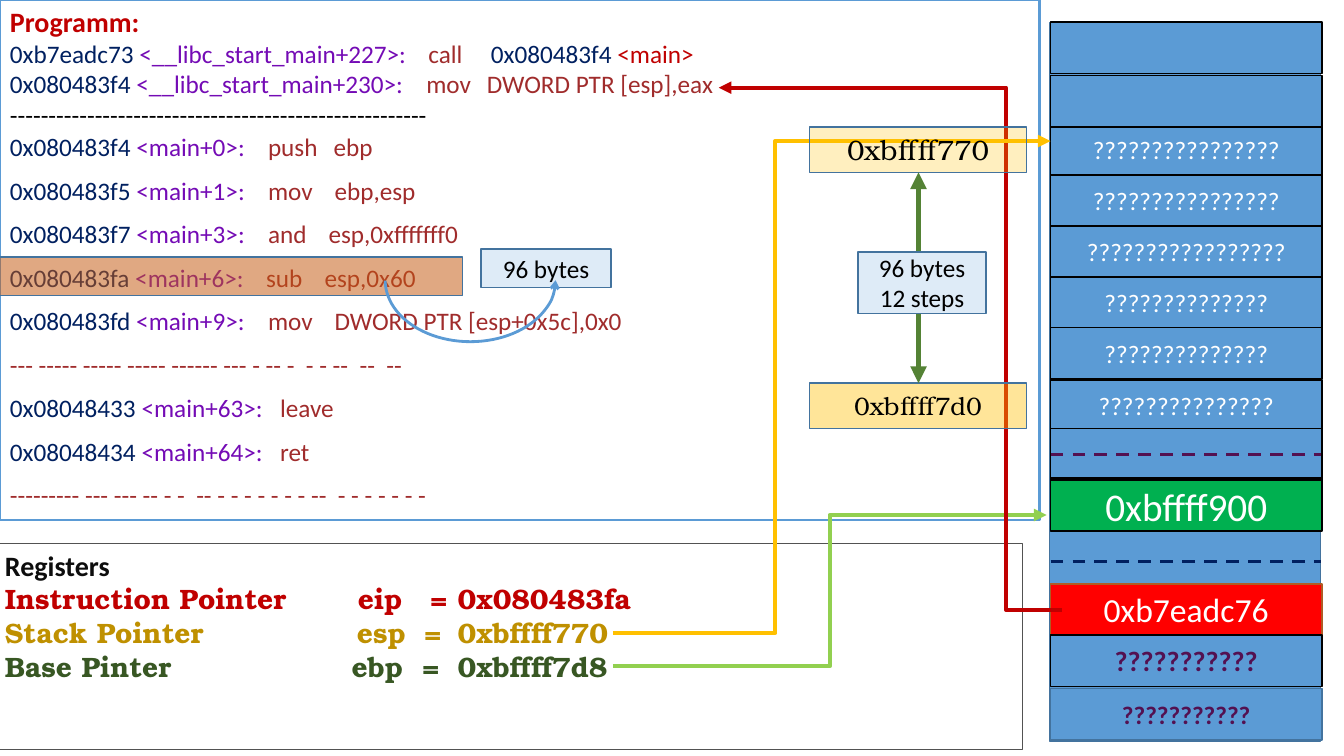
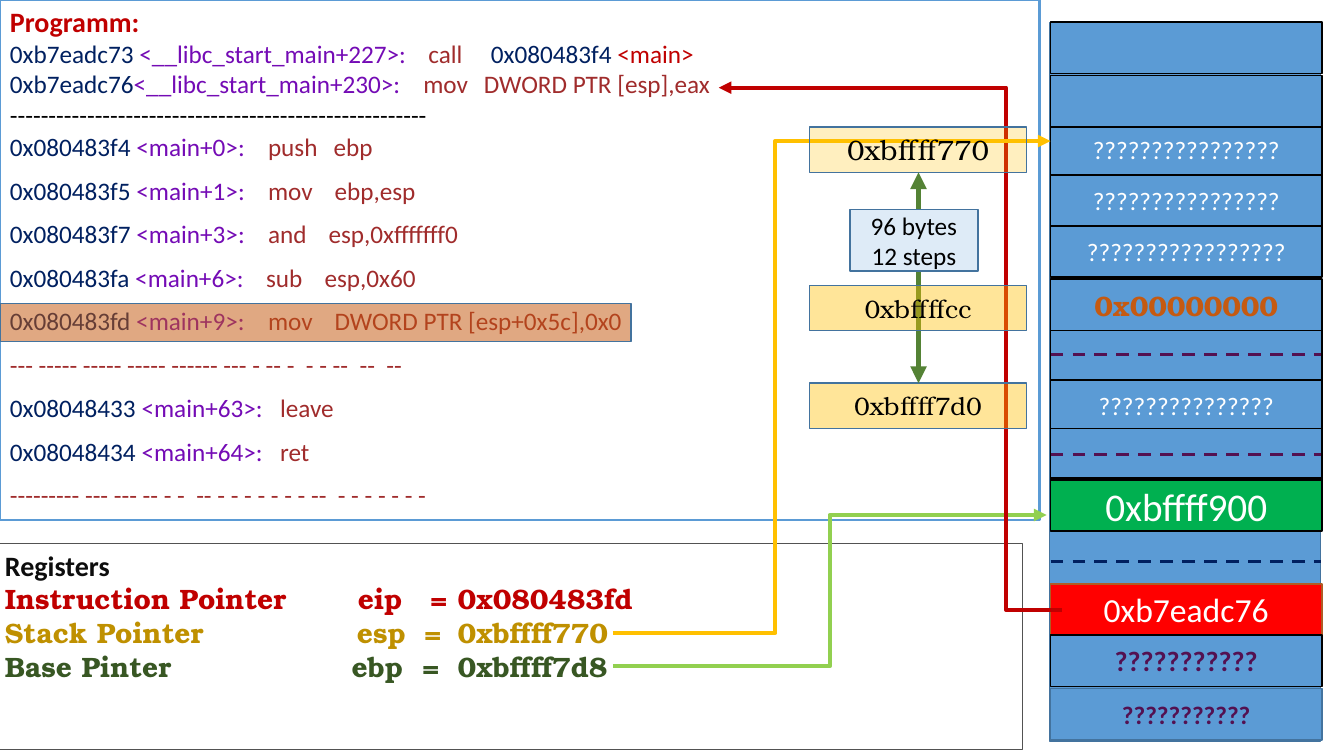
"""Builds two slides that step through a program, its registers and its stack."""
from lxml import etree
from pptx import Presentation
from pptx import util as u
from pptx.dml.color import RGBColor
from pptx.enum import dml, shapes, text
from pptx.oxml.ns import qn

PX = 9144
SANS, SERIF = "Calibri", "TeX Gyre Bonum"
COLORS = {
    "black": "000000", "white": "FFFFFF", "ink": "0D0D0D", "grey": "525252",
    "blue": "5B9BD5", "steel": "43739E", "pale": "DEEBF7", "navy": "002060",
    "red": "C00000", "purple": "740BB5", "brown": "A02C2C", "plum": "531151",
    "orange": "C55A11", "rust": "AF5C24", "gold": "FFC000", "mustard": "BF9000",
    "lime": "92D050", "green": "00B050", "moss": "548235", "forest": "385723",
    "alarm": "FF0000",
}
CODE_COLORS = ("navy", "purple", "brown", "navy", "red")
RULE = "------------------------------------------------------"

MAIN_CODE = [
    (("0x080483f4 ", "<main+0>:", "\tpush\tebp"), (256, 321)),
    (("0x080483f5 ", "<main+1>:", "\tmov\tebp,esp"), (256, 322)),
    (("0x080483f7 ", "<main+3>:", "\tand\tesp,0xfffffff0"), (256, 316)),
    (("0x080483fa ", "<main+6>:", "\tsub\tesp,0x60"), (254, 312)),
    (("0x080483fd ", "<main+9>:", "\tmov\tDWORD PTR [esp+0x5c],0x0"), (256, 322)),
    (("", "", "--- ----- ----- ----- ------ --- - -- -  - - --  --  --"), ()),
    (("0x08048433", " <main+63>:", "\tleave"), (268,)),
    (("0x08048434", " <main+64>:", "\tret"), (268,)),
    (("", "", "--------- --- --- -- - -  -- - - - - - - - --  - - - - - - -"), ()),
]

UNKNOWN = dict(size=18, color="white")
LOWER = dict(color="plum", bold=True)
STACK = [
    (683, "???????????", dict(LOWER, size=18), "blue", "steel"),
    (224, "?????????????????", UNKNOWN, "blue", "black"),
    (377, "???????????????", UNKNOWN, "blue", "black"),
    (425, "", {}, "blue", "black"),
    (474, "", {}, "blue", "black"),
    (476, "0xbffff900", dict(size=28, color="white"), "green", "black"),
    (579, "0xb7eadc76", dict(size=24, color="white"), "alarm", "rust"),
    (630, "???????????", dict(LOWER, size=20), "blue", "black"),
    (173, "????????????????", UNKNOWN, "blue", "black"),
    (123, "????????????????", UNKNOWN, "blue", "black"),
    (75, "", {}, "blue", "black"),
    (22, "", {}, "blue", "black"),
]

STEPS = [
    dict(
        caller=(("0x080483f4 ", "<__libc_start_main+230>:",
                 "\tmov\tDWORD PTR [esp],eax"), (413, 473)),
        eip="0x080483fa", highlight=(-2, 255, 461, 38), distance=(851, 250),
        cells=[(275, "??????????????", UNKNOWN, "blue", "black"),
               (325, "??????????????", UNKNOWN, "blue", "black")],
        dashes=[(557, "navy"), (451, "plum")], tags=[], operand=True,
    ),
    dict(
        caller=(("0xb7eadc76", "<__libc_start_main+230>:",
                 "\tmov\tDWORD PTR [esp],eax"), (410, 470)),
        eip="0x080483fd", highlight=(0, 301, 626, 38), distance=(843, 208),
        cells=[(326, "", {}, "blue", "black"),
               (277, "0x00000000",
                dict(size=20, font=SERIF, color="orange", bold=True), "blue", "black")],
        dashes=[(557, "navy"), (451, "plum"), (352, "plum")],
        tags=[(283, "0xbffffcc", 18, 40)], operand=False,
    ),
]
TAGS = [(126, "0xbffff770", 20, 25), (380, "0xbffff7d0", 18, 40)]
POINTERS = [
    ((608, 661), 823, (1038, 511), "lime"),
    ((1053, 605), 998, (713, 87), "red"),
    ((608, 628), 769, (1042, 140), "gold"),
]


def px(*lengths):
    return [u.Emu(length * PX) for length in lengths]


def rgb(name):
    return RGBColor.from_string(COLORS[name])


def write(frame, line, size=18, font=SANS, color="black", bold=False,
          centred=False, tabs=(), spacing=None, after=None):
    paragraph = frame.paragraphs[0]
    if paragraph.runs:
        paragraph = frame.add_paragraph()
    paragraph.alignment = text.PP_ALIGN.CENTER if centred else text.PP_ALIGN.LEFT
    paragraph.line_spacing = spacing
    if after:
        paragraph.space_after = u.Pt(after)
    if tabs:
        stops = etree.SubElement(paragraph._p.get_or_add_pPr(), qn("a:tabLst"))
        for tab in tabs:
            etree.SubElement(stops, qn("a:tab"), pos=str(tab * PX), algn="l")
    runs = [(line, color)] if isinstance(line, str) else line
    for words, run_color in runs:
        if words:
            run = paragraph.add_run()
            run.text = words
            run.font.size, run.font.name, run.font.bold = u.Pt(size), font, bold
            run.font.color.rgb = rgb(run_color)


def draw_line(line, color, width, head=None, tail=None):
    line.color.rgb = rgb(color)
    line.width = u.Pt(width)
    properties = line._get_or_add_ln()
    for tag, kind in (("a:headEnd", head), ("a:tailEnd", tail)):
        if kind:
            etree.SubElement(properties, qn(tag), type=kind)


def add_box(slide, box, fill=None, opacity=100, line="steel", width=1,
            preset=shapes.MSO_SHAPE.RECTANGLE, middle=True, tail=None):
    shape = slide.shapes.add_shape(preset, *px(*box))
    shape.shadow.inherit = False
    if fill:
        shape.fill.solid()
        shape.fill.fore_color.rgb = rgb(fill)
        if opacity < 100:
            color = shape.fill._xPr.find(".//" + qn("a:srgbClr"))
            etree.SubElement(color, qn("a:alpha"), val=str(opacity * 1000))
    else:
        shape.fill.background()
    draw_line(shape.line, line, width, tail=tail)
    frame = shape.text_frame
    frame.word_wrap = True
    frame.vertical_anchor = text.MSO_ANCHOR.MIDDLE if middle else text.MSO_ANCHOR.TOP
    return shape


def add_label(slide, box, lines, fill, opacity=100, **format):
    shape = add_box(slide, box, fill, opacity)
    for line in lines:
        write(shape.text_frame, line, centred=True, **format)


def add_connector(slide, start, end, color, width, turn=None, dashed=False, **ends):
    kind = shapes.MSO_CONNECTOR.ELBOW if turn else shapes.MSO_CONNECTOR.STRAIGHT
    connector = slide.shapes.add_connector(kind, *px(*start, *end))
    if turn:
        share = round((turn - start[0]) / (end[0] - start[0]) * 100000)
        guides = connector._element.find(".//" + qn("a:avLst"))
        etree.SubElement(guides, qn("a:gd"), name="adj1", fmla=f"val {share}")
    if dashed:
        connector.line.dash_style = dml.MSO_LINE.DASH
    draw_line(connector.line, color, width, **ends)
    etree.SubElement(connector._element.spPr, qn("a:effectLst"))


def add_program(slide, step):
    box = add_box(slide, (0, 0, 1031, 516), line="blue", width=2, middle=False)
    frame = box.text_frame
    call = ("0xb7eadc73 ", "<__libc_start_main+227>:", "\tcall\t", "0x080483f4", " <main>")
    write(frame, "Programm:", size=20, color="red", bold=True)
    for texts, tabs in [(call, (415, 477)), step["caller"]]:
        write(frame, list(zip(texts, CODE_COLORS)), tabs=tabs)
    write(frame, RULE)
    for texts, tabs in MAIN_CODE:
        write(frame, list(zip(texts, CODE_COLORS)), tabs=tabs, spacing=1.07, after=8)
    add_box(slide, step["highlight"], "orange", 52)


def add_stack(slide, step):
    add_box(slide, (1041, 23, 269, 712), "blue")
    for top, words, format, fill, line in step["cells"] + STACK:
        cell = add_box(slide, (1042, top, 269, 51), fill, line=line, width=1.25)
        if words:
            write(cell.text_frame, words, centred=True, **format)


def add_registers(slide, step):
    box = add_box(slide, (-5, 539, 1019, 205), line="grey", width=0.75, middle=False)
    write(box.text_frame, "Registers", size=20, color="ink", bold=True)
    registers = [
        ("Instruction Pointer", "eip", step["eip"], "red", (350, 422, 449)),
        ("Stack Pointer", "esp", "0xbffff770", "mustard", (349, 416, 449)),
        ("Base Pinter", "ebp", "0xbffff7d8", "forest", (344, 414, 449)),
    ]
    for name, short, value, color, tabs in registers:
        write(box.text_frame, f"{name}\t{short}\t=\t{value}", size=20, font=SERIF,
              color=color, bold=True, tabs=tabs)


def add_operand(slide):
    add_label(slide, (477, 247, 129, 38), ["96 bytes"], "pale")
    arc = add_box(slide, (382, 217, 169, 122), line="blue", width=2,
                  preset=shapes.MSO_SHAPE.ARC, tail="arrow")
    arc.adjustments[0], arc.adjustments[1] = 108.18, 0
    arc._element.spPr.xfrm.set("flipV", "1")


def add_tags(slide, tags):
    for top, words, size, opacity in tags:
        add_label(slide, (803, top, 215, 45), [words], "gold", opacity,
                  size=size, font=SERIF)


def build_slide(presentation, step):
    slide = presentation.slides.add_slide(presentation.slide_layouts[6])
    add_program(slide, step)
    add_stack(slide, step)
    add_registers(slide, step)
    for y, color in step["dashes"]:
        add_connector(slide, (1042, y), (1310, y), color, 2.25, dashed=True)
    if step["operand"]:
        add_operand(slide)
    for start, turn, end, color in POINTERS:
        add_connector(slide, start, end, color, 3, turn, tail="triangle")
    add_tags(slide, TAGS)
    add_connector(slide, (911, 171), (911, 380), "moss", 4,
                  head="triangle", tail="triangle")
    add_label(slide, (*step["distance"], 127, 61), ["96 bytes", "12 steps"], "pale")
    add_tags(slide, step["tags"])


def main():
    presentation = Presentation()
    presentation.slide_width, presentation.slide_height = px(1333, 750)
    for step in STEPS:
        build_slide(presentation, step)
    presentation.save("out.pptx")


if __name__ == "__main__":
    main()
